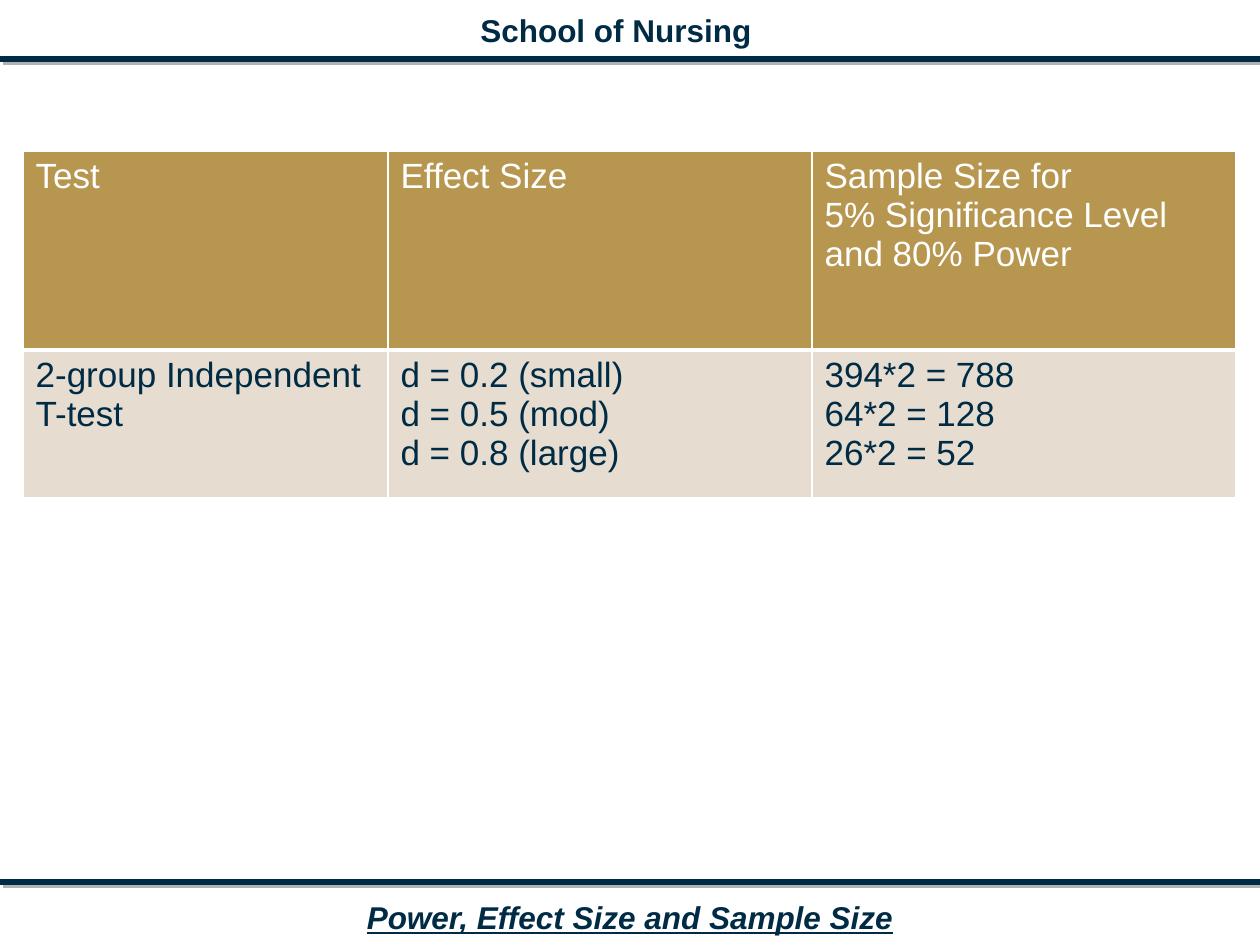
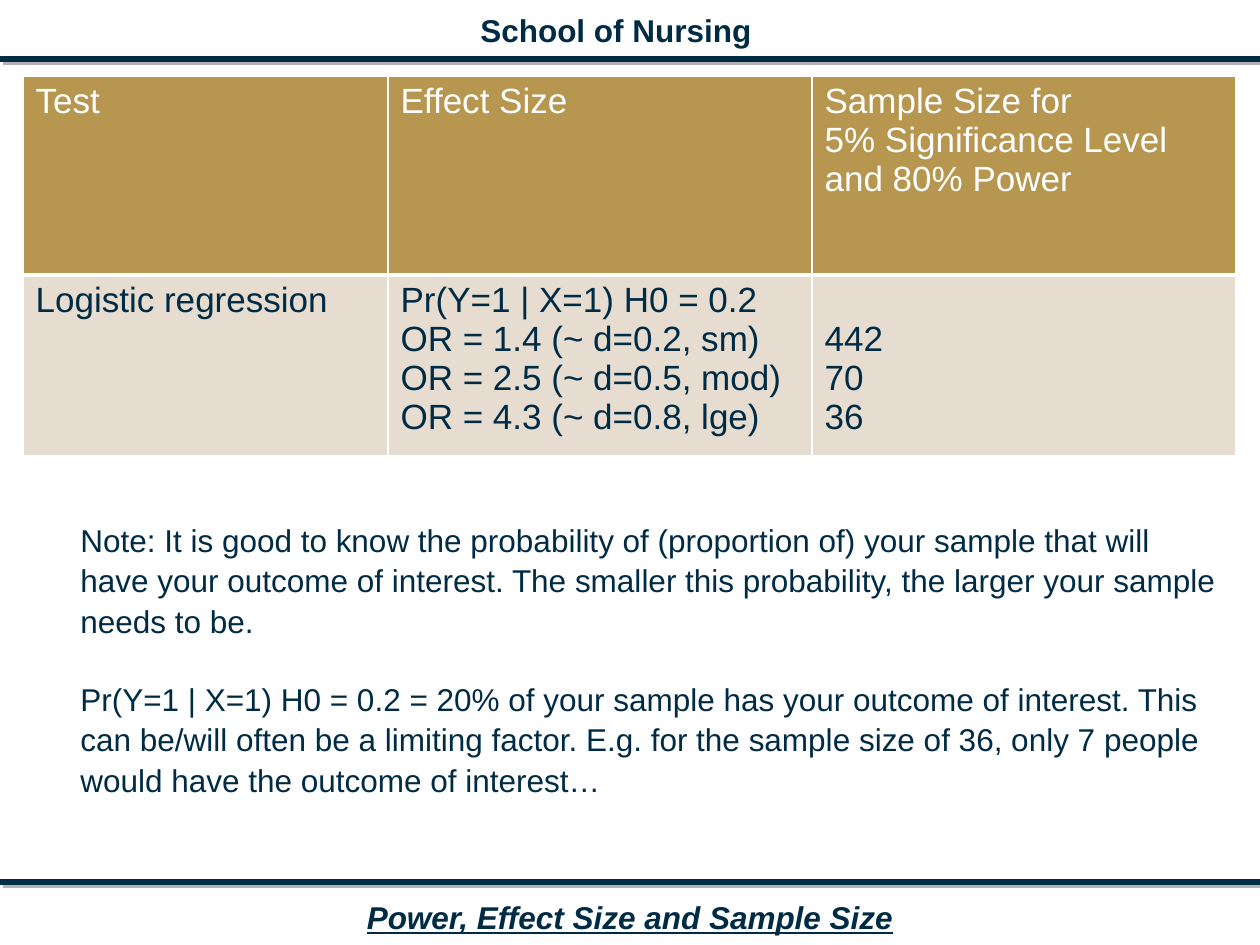
from dataclasses import dataclass

from lxml import etree
from pptx import Presentation
from pptx import util as u
from pptx.dml.color import RGBColor
from pptx.enum import shapes, text
from pptx.oxml import parse_xml
from pptx.oxml.ns import nsdecls, qn

PX = u.Inches(1) / 126
SLIDE_WIDTH, SLIDE_HEIGHT = 1260, 945


@dataclass(frozen=True)
class Theme:
    font: str = "Arial"
    navy: str = "002B45"
    gold: str = "B79650"
    sand: str = "E6DDD0"
    white: str = "FFFFFF"
    shadow: str = "B2B2B2"
    band_size: int = 18
    note_size: int = 18
    table_size: int = 20
    rule_width: int = 3


THEME = Theme()
TABLE_LEFT = 23
COLUMN_WIDTHS = (365, 424, 424)
HEADER_HEIGHT = 199
CELL_MARGIN = 6
TABLE_LINE = 39
HEADERS = (
    ["Test"],
    ["Effect Size"],
    ["Sample Size for", "5% Significance Level", "and 80% Power"],
)
NOTES = (
    "Note: It is good to know the probability of (proportion of) your sample that will "
    "have your outcome of interest. The smaller this probability, the larger your sample "
    "needs to be.",
    "Pr(Y=1 | X=1) H0 = 0.2 = 20% of your sample has your outcome of interest. This can "
    "be/will often be a limiting factor. E.g. for the sample size of 36, only 7 people "
    "would have the outcome of interest…",
)


def px(length):
    return u.Emu(round(length * PX))


def write_paragraphs(frame, lines, size, color, bold=False):
    """Fill a text frame with one paragraph per line and return the paragraphs."""
    for index, line in enumerate(lines):
        paragraph = frame.add_paragraph() if index else frame.paragraphs[0]
        paragraph.text = line
        font = paragraph.font
        font.name, font.size, font.bold = THEME.font, u.Pt(size), bold
        font.color.rgb = RGBColor.from_string(color)
    return frame.paragraphs


def add_rule(slide, y):
    """Draw a full-width rule with a hard offset shadow."""
    rule = slide.shapes.add_connector(
        shapes.MSO_CONNECTOR.STRAIGHT, 0, px(y), px(SLIDE_WIDTH), px(y))
    rule.line.color.rgb = RGBColor.from_string(THEME.navy)
    rule.line.width = u.Pt(THEME.rule_width)
    rule._element.spPr.append(parse_xml(
        f'<a:effectLst {nsdecls("a")}>'
        f'<a:outerShdw blurRad="0" dist="{u.Pt(2.8)}" dir="2700000" algn="ctr" rotWithShape="0">'
        f'<a:srgbClr val="{THEME.shadow}"/></a:outerShdw></a:effectLst>'))


def add_band_title(slide, wording, left, top, width, emphasis=False):
    box = slide.shapes.add_textbox(px(left), px(top), px(width), px(50))
    box.text_frame.word_wrap = False
    paragraph = write_paragraphs(
        box.text_frame, [wording], THEME.band_size, THEME.navy, bold=True)[0]
    paragraph.alignment = text.PP_ALIGN.CENTER
    paragraph.font.italic = paragraph.font.underline = emphasis


def add_bands(slide):
    for y in (59, 882):
        add_rule(slide, y)
    add_band_title(slide, "School of Nursing", 466, 5, 300)
    add_band_title(slide, "Power, Effect Size and Sample Size", 353, 892, 554, emphasis=True)


def set_borders(cell, bottom_width):
    properties = cell._tc.get_or_add_tcPr()
    for side, width in (("L", 1), ("R", 1), ("T", 1), ("B", bottom_width)):
        line = etree.SubElement(properties, qn(f"a:ln{side}"), w=str(u.Pt(width)))
        fill = etree.SubElement(line, qn("a:solidFill"))
        etree.SubElement(fill, qn("a:srgbClr"), val=THEME.white)


def fill_cell(cell, lines, fill, color, bottom_width=1, skipped_lines=0):
    """Style a cell; skipped_lines lowers its text to meet a later line beside it."""
    set_borders(cell, bottom_width)
    cell.fill.solid()
    cell.fill.fore_color.rgb = RGBColor.from_string(fill)
    cell.margin_top = px(CELL_MARGIN + skipped_lines * TABLE_LINE)
    write_paragraphs(cell.text_frame, lines, THEME.table_size, color)


def add_sample_size_table(slide, top, body_height, test, effects, samples):
    heights = (HEADER_HEIGHT, body_height)
    table = slide.shapes.add_table(
        2, 3, px(TABLE_LEFT), px(top), px(sum(COLUMN_WIDTHS)), px(sum(heights))).table
    for column, width in zip(table.columns, COLUMN_WIDTHS):
        column.width = px(width)
    for row, height in zip(table.rows, heights):
        row.height = px(height)
    for index, lines in enumerate(HEADERS):
        fill_cell(table.cell(0, index), lines, THEME.gold, THEME.white, bottom_width=3)
    for index, lines in enumerate((test, effects, samples)):
        skipped = len(effects) - len(lines) if lines is samples else 0
        fill_cell(table.cell(1, index), lines, THEME.sand, THEME.navy, skipped_lines=skipped)


def add_notes_text(slide):
    box = slide.shapes.add_textbox(px(68), px(512), px(1169), px(280))
    box.text_frame.word_wrap = True
    paragraphs = write_paragraphs(box.text_frame, NOTES, THEME.note_size, THEME.navy)
    for paragraph in paragraphs:
        paragraph.line_spacing = 1.07
    paragraphs[1].space_before = u.Pt(21.5)


def add_banded_slide(presentation):
    slide = presentation.slides.add_slide(presentation.slide_layouts[6])
    add_bands(slide)
    return slide


def main():
    presentation = Presentation()
    presentation.slide_width, presentation.slide_height = px(SLIDE_WIDTH), px(SLIDE_HEIGHT)

    t_test = add_banded_slide(presentation)
    add_sample_size_table(
        t_test, 151, 148,
        ["2-group Independent", "T-test"],
        ["d = 0.2 (small)", "d = 0.5 (mod)", "d = 0.8 (large)"],
        ["394*2 = 788", "64*2 = 128", "26*2 = 52"])

    logistic = add_banded_slide(presentation)
    add_sample_size_table(
        logistic, 76, 181,
        ["Logistic regression"],
        ["Pr(Y=1 | X=1) H0 = 0.2", "OR = 1.4 (~ d=0.2, sm)",
         "OR = 2.5 (~ d=0.5, mod)", "OR = 4.3 (~ d=0.8, lge)"],
        ["442", "70", "36"])
    add_notes_text(logistic)

    presentation.save("out.pptx")


if __name__ == "__main__":
    main()
